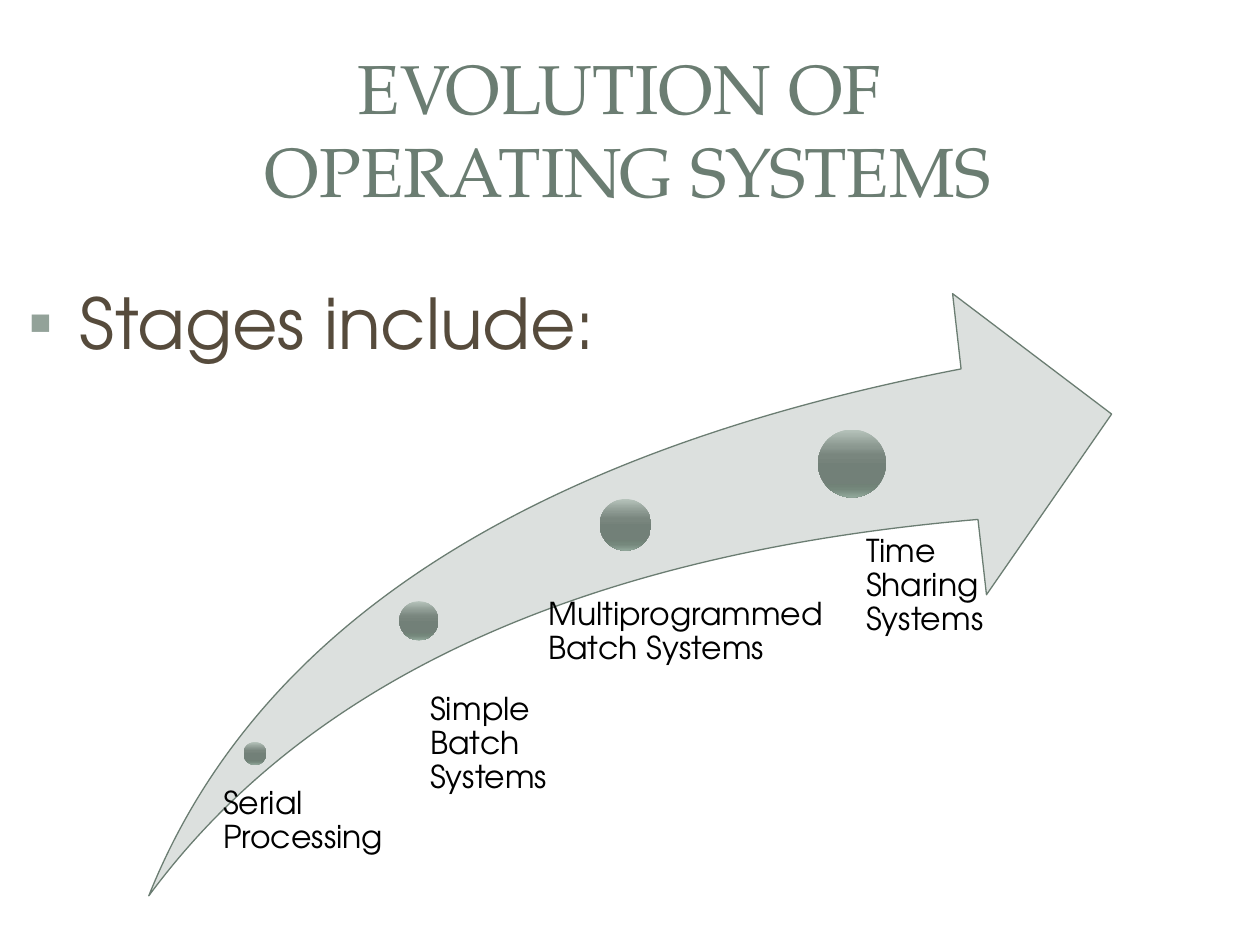
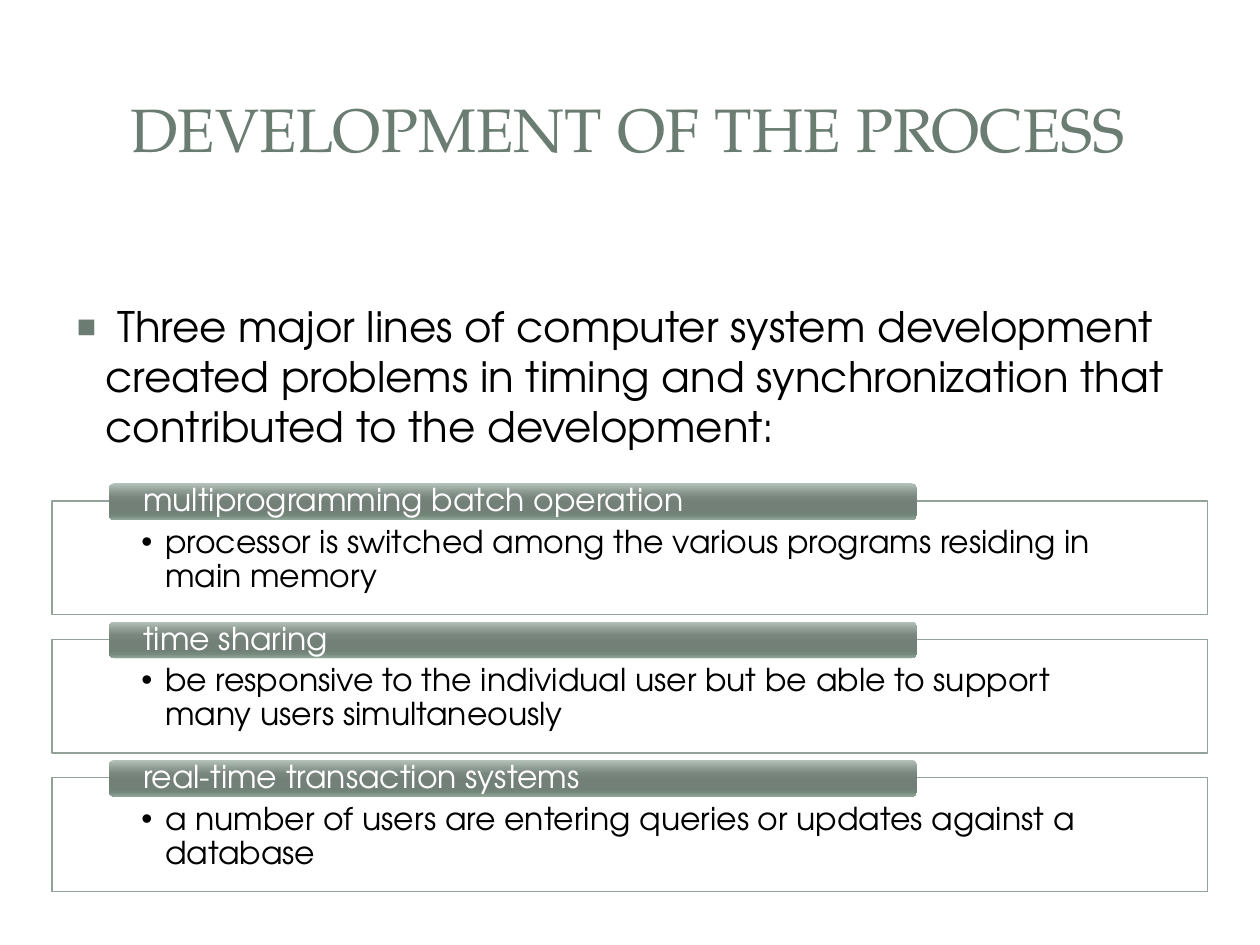
from lxml import etree
from pptx import Presentation
from pptx.dml.color import RGBColor
from pptx.enum.shapes import MSO_SHAPE
from pptx.enum.text import MSO_ANCHOR, PP_ALIGN
from pptx.oxml.ns import qn
from pptx.util import Cm, Pt

RECT, ROUND = MSO_SHAPE.RECTANGLE, MSO_SHAPE.ROUNDED_RECTANGLE
OVAL, SWOOSH = MSO_SHAPE.OVAL, MSO_SHAPE.SWOOSH_ARROW
TOP, MIDDLE = MSO_ANCHOR.TOP, MSO_ANCHOR.MIDDLE
LEFT, CENTER = PP_ALIGN.LEFT, PP_ALIGN.CENTER

COLORS = {
    "title": "6B7D72", "accent": "93A299", "brown": "564B3C",
    "black": "000000", "white": "FFFFFF", "arrow": "DCE0DE",
}
GLOSS = {0: "B6C3BB", 25: "8B9890", 38: "79867E", 55: "728078",
         80: "708176", 88: "75887C", 100: "91A79A"}
SERIF, SANS, PLAIN = "TeX Gyre Pagella", "TeX Gyre Adventor", "Arial"
TITLE_BOX = (1.19, 1.14, 22.94, 2.9)
BODY_INSETS = (0.25, 0.13, 0.25, 0.13)
SMALL = 18

STAGES = [
    ("Serial Processing", (1.91, 9.04, 0.46), (1.27, 9.96, 4.95, 1.47), 0.23),
    ("Simple Batch Systems", (5.05, 6.2, 0.79), (5.26, 8.05, 4.09, 2.21), 0.41),
    ("Multiprogrammed Batch Systems", (9.09, 4.14, 1.04), (7.52, 6.15, 7.7, 1.96), 0.53),
    ("Time Sharing Systems", (13.49, 2.74, 1.37), (13.72, 4.88, 3.53, 2.77), 0.74),
]
LINES = [
    ("multiprogramming batch operation",
     "processor is switched among the various programs residing in main memory"),
    ("time sharing",
     "be responsive to the individual user but be able to support many users simultaneously"),
    ("real-time transaction systems",
     "a number of users are entering queries or updates against a database"),
]


def rgb(name):
    """Return the named colour."""
    return RGBColor.from_string(COLORS[name])


def write(s, text, size, color, font=SANS, insets=BODY_INSETS, anchor=TOP,
          align=LEFT, spacing=None):
    """Fill the text frame of a shape and return its paragraph."""
    tf = s.text_frame
    sides = dict(zip(("left", "top", "right", "bottom"), insets))
    for side, length in sides.items():
        setattr(tf, f"margin_{side}", Cm(length))
    tf.word_wrap = True
    tf.vertical_anchor = anchor
    p = tf.paragraphs[0]
    p.text = text
    p.alignment = align
    p.line_spacing = spacing
    for r in p.runs:
        for name, value in {"size": Pt(size), "name": font}.items():
            setattr(r.font, name, value)
        r.font.color.rgb = rgb(color)
    return p


def add_bullet(p, char, color, margin, hang, percent=100):
    """Give a paragraph a hanging bullet."""
    pPr = p._p.get_or_add_pPr()
    pPr.set("marL", str(Cm(margin)))
    pPr.set("indent", str(-Cm(hang)))
    clr = etree.SubElement(pPr, qn("a:buClr"))
    etree.SubElement(clr, qn("a:srgbClr"), val=COLORS[color])
    etree.SubElement(pPr, qn("a:buSzPct"), val=str(percent * 1000))
    etree.SubElement(pPr, qn("a:buFont"), typeface=PLAIN)
    etree.SubElement(pPr, qn("a:buChar"), char=char)


def add_box(slide, box):
    """Add a text box at a box in centimetres."""
    return slide.shapes.add_textbox(*map(Cm, box))


def add_shape(slide, kind, box, fill=None, line=None):
    """Add a preset shape, glossy when no fill is named."""
    s = slide.shapes.add_shape(kind, *map(Cm, box))
    s.shadow.inherit = False
    if fill:
        s.fill.solid()
        s.fill.fore_color.rgb = rgb(fill)
    else:
        add_gloss(s)
    if line:
        s.line.color.rgb = rgb(line)
        s.line.width = Pt(0.75)
    else:
        s.line.fill.background()
    return s


def add_gloss(s):
    """Fill a shape with the vertical glossy gradient."""
    s.fill.gradient()
    s.fill.gradient_angle = 270
    stops = s._element.spPr.find(".//" + qn("a:gsLst"))
    for gs in list(stops):
        stops.remove(gs)
    for pos, value in GLOSS.items():
        gs = etree.SubElement(stops, qn("a:gs"), pos=str(pos * 1000))
        etree.SubElement(gs, qn("a:srgbClr"), val=value)


def add_title(slide, text, size):
    """Add the centred slide title."""
    write(add_box(slide, TITLE_BOX), text, size, "title", SERIF,
          anchor=MIDDLE, align=CENTER)


def add_stage_arrow(slide, box):
    """Draw the rising arrow with its dots and captions."""
    x, y = box[:2]
    arrow = add_shape(slide, SWOOSH, box, "arrow", "title")
    for i in range(2):
        arrow.adjustments[i] = 0.25
    for text, (dx, dy, size), (cx, cy, w, h), inset in STAGES:
        add_shape(slide, OVAL, (x + dx, y + dy, size, size))
        write(add_box(slide, (x + cx, y + cy, w, h)), text, SMALL, "black",
              insets=(inset, 0, 0, 0), spacing=0.9)


def add_line_list(slide, box, pitch):
    """Stack the outlined panels, each with a glossy heading tab."""
    x, y, w, h = box
    for i, (heading, detail) in enumerate(LINES):
        top = y + i * pitch
        panel = add_shape(slide, RECT, (x, top, w, h), "white", "accent")
        p = write(panel, detail, SMALL, "black",
                  insets=(1.8, 0.51, 1.8, 0.36), spacing=0.9)
        add_bullet(p, "•", "black", 0.48, 0.48)
        tab = add_shape(slide, ROUND, (x + 1.14, top - 0.36, 0.7 * w, 0.74))
        write(tab, heading, SMALL, "white", insets=(0.66, 0, 0.66, 0),
              anchor=MIDDLE, spacing=0.9)


def build_evolution(slide):
    """Build the slide on the stages of operating systems."""
    add_title(slide, "EVOLUTION OF \vOPERATING SYSTEMS", 39.6)
    p = write(add_box(slide, (0, 5.51, 22.43, 11.23)), " Stages include:", 40, "brown")
    add_bullet(p, "▪", "accent", 0.97, 0.64)
    add_stage_arrow(slide, (3, 5.92, 19.41, 12.14))


def build_development(slide):
    """Build the slide on the three lines of development."""
    add_title(slide, "DEVELOPMENT OF THE PROCESS", 35)
    p = write(add_box(slide, (1.27, 5.92, 22.66, 4.27)),
              " Three major lines of computer system development created problems "
              "in timing and synchronization that contributed to the development:",
              24, "black")
    add_bullet(p, "▪", "title", 0.61, 0.61, 150)
    add_line_list(slide, (1.05, 10.1, 23.29, 2.29), 2.79)


def main():
    """Build and save the presentation."""
    prs = Presentation()
    prs.slide_width, prs.slide_height = Cm(25.4), Cm(19.05)
    for build in (build_evolution, build_development):
        build(prs.slides.add_slide(prs.slide_layouts[6]))
    prs.save("out.pptx")


if __name__ == "__main__":
    main()
